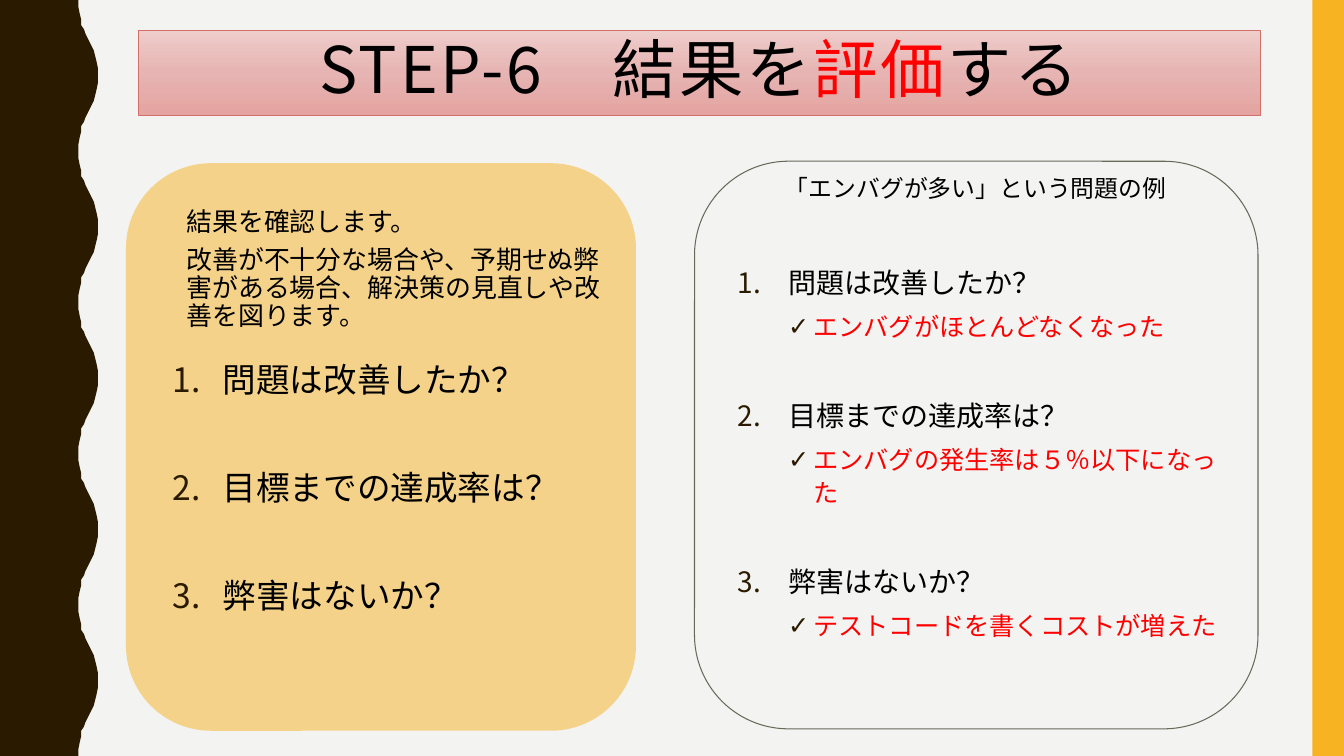
from copy import deepcopy
from lxml.etree import SubElement
from pptx import Presentation
from pptx.dml.color import RGBColor
from pptx.enum.shapes import MSO_SHAPE
from pptx.enum.text import MSO_ANCHOR, MSO_AUTO_SIZE, PP_ALIGN
from pptx.oxml.ns import qn
from pptx.util import Pt

# Content
TITLE = [("STEP-6\u3000結果を", "000000"), ("評価", "FF0000"), ("する", "000000")]
INTRO = ["結果を確認します。",
         "改善が不十分な場合や、予期せぬ弊害がある場合、解決策の見直しや改善を図ります。"]
EXAMPLE_HEADING = "「エンバグが多い」という問題の例"
CHECKS = [("問題は改善したか？", "エンバグがほとんどなくなった"),
          ("目標までの達成率は？", "エンバグの発生率は５％以下になった"),
          ("弊害はないか？", "テストコードを書くコストが増えた")]

# Formats: size, line height, space before, indents and colours
BROWN, YELLOW = "2A1A00", "F8B323"
JP, SC, CABIN = "Noto Sans CJK JP", "Noto Sans CJK SC", "Cabin"
HEADLINE = dict(font=JP, size=45.9, line=0.9, align=PP_ALIGN.CENTER, tracking=2)
PROSE = dict(font=CABIN, size=18.5, line=Pt(20), before=7)
HEADING = dict(font=CABIN, size=17, line=Pt(19), align=PP_ALIGN.CENTER)
QUESTION = dict(font=SC, size=24, line=Pt(34), before=43, left=36, hang=36, bullet="number")
EXAMPLE = QUESTION | dict(size=20, line=Pt(28.4), before=36)
ANSWER = dict(font=SC, size=18, line=Pt(23.6), before=7, left=54, hang=18,
              bullet="✓", level=1)

# Places in points: left, top, width, height
PLACES = {0: (98.6, 21.6, 801.4, 60.5), 1: (126, 145.4, 318.2, 97.9),
          2: (115.9, 247.7, 329, 242.6), 3: (524.9, 121.7, 344.2, 26.6),
          4: (519.8, 181.4, 371.5, 295.9)}
LEFT_CARD = (90, 116.6, 364.3, 405.4)
RIGHT_CARD = (496.1, 115.2, 402.5, 405.4)
SIDE_BAR = (937.4, 0, 22.6, 540)

# Half a wave of the left edge, as (x, y); the other half mirrors it
WAVE, WAVES = 108, 5
HALF_WAVE = [(56.2, 0), (56.2, 5), (56.9, 10.1), (57.6, 14.4), (58.3, 18), (59.8, 20.9),
             (61.2, 23.8), (64.1, 30.2), (67, 36), (68.4, 39.6), (69.1, 43.9), (69.8, 49)]


def color(value):
    return RGBColor.from_string(value)


def finish(shape, fill=None, line=None, width=0.75):
    shape.shadow.inherit = False
    if fill:
        shape.fill.solid()
        shape.fill.fore_color.rgb = color(fill)
    else:
        shape.fill.background()
    if line:
        shape.line.color.rgb = color(line)
        shape.line.width = Pt(width)
    else:
        shape.line.fill.background()
    return shape


def add_panel(kind, place, **look):
    return finish(page.shapes.add_shape(kind, *map(Pt, place)), **look)


def write(box, paragraphs):
    """Each paragraph is a list of (text, colour) spans and a format."""
    for index, (spans, style) in enumerate(paragraphs):
        para = box.text_frame.paragraphs[0] if index == 0 else box.text_frame.add_paragraph()
        values = dict(level=style.get("level", 0), line_spacing=style["line"],
                      space_before=Pt(style.get("before", 0) if index else 0),
                      space_after=Pt(0), alignment=style.get("align", PP_ALIGN.LEFT))
        for name, value in values.items():
            setattr(para, name, value)
        set_bullet(para, style)
        for text, tone in spans:
            span = para.add_run()
            span.text = text
            font = dict(name=style["font"], size=Pt(style["size"]), bold=False)
            for name, value in font.items():
                setattr(span.font, name, value)
            span.font.color.rgb = color(tone)
            properties = span.font._element
            SubElement(properties, qn("a:ea"), typeface=style["font"])
            if "tracking" in style:
                properties.set("spc", str(style["tracking"] * 100))


def set_bullet(para, style):
    properties = para._p.get_or_add_pPr()
    properties.set("marL", str(Pt(style.get("left", 0))))
    properties.set("indent", str(-Pt(style.get("hang", 0))))
    bullet = style.get("bullet")
    if not bullet:
        SubElement(properties, qn("a:buNone"))
        return
    tone = SubElement(properties, qn("a:buClr"))
    SubElement(tone, qn("a:srgbClr"), val=BROWN)
    if bullet == "number":
        SubElement(properties, qn("a:buAutoNum"), type="arabicPeriod")
    else:
        SubElement(properties, qn("a:buChar"), char=bullet)


deck = Presentation()
deck.slide_width, deck.slide_height = Pt(960), Pt(540)
page = deck.slides.add_slide(deck.slide_layouts[4])
page.background.fill.solid()
page.background.fill.fore_color.rgb = color("F3F3F2")

# Wavy left edge and right bar
one_wave = HALF_WAVE + [(69.8, WAVE / 2)] + [(x, WAVE - y) for x, y in HALF_WAVE[:0:-1]]
edge = [(x, y + WAVE * number) for number in range(WAVES) for x, y in one_wave]
outline = page.shapes.build_freeform(0, 0, scale=Pt(1))
outline.add_line_segments(edge + [(HALF_WAVE[0][0], 540), (0, 540)], close=True)
finish(outline.convert_to_shape(), fill=BROWN)
add_panel(MSO_SHAPE.RECTANGLE, SIDE_BAR, fill=YELLOW)

# Cards behind the two lists
add_panel(MSO_SHAPE.ROUNDED_RECTANGLE, RIGHT_CARD, line="656A59")
card = add_panel(MSO_SHAPE.ROUNDED_RECTANGLE, LEFT_CARD, fill=YELLOW)
SubElement(card.element.xpath("./p:spPr/a:solidFill/a:srgbClr")[0], qn("a:alpha"), val="50000")

# Placeholders, placed in front of the cards
boxes = {box.placeholder_format.idx: box for box in page.placeholders}
for key, place in PLACES.items():
    box = boxes[key]
    box.left, box.top, box.width, box.height = map(Pt, place)
    frame = dict(word_wrap=True, auto_size=MSO_AUTO_SIZE.NONE,
                 vertical_anchor=MSO_ANCHOR.TOP if key else MSO_ANCHOR.MIDDLE)
    for name, value in frame.items():
        setattr(box.text_frame, name, value)
    box.element.getparent().append(box.element)

# Title band with a three-stop gradient
title = finish(boxes[0], line="D36F68", width=0.5)
title.fill.gradient()
title.fill.gradient_angle = 270
stops = title.element.xpath(".//a:gsLst")[0]
stops.append(deepcopy(stops[0]))
for stop, (position, tone) in zip(title.fill.gradient_stops,
                                  [(0, "EECDCB"), (0.5, "E6B4B2"), (1, "E4A4A1")]):
    stop.position = position
    stop.color.rgb = color(tone)

# Texts
write(title, [(TITLE, HEADLINE)])
write(boxes[1], [([(text, "000000")], PROSE) for text in INTRO])
write(boxes[2], [([(question, "000000")], QUESTION) for question, _ in CHECKS])
write(boxes[3], [([(EXAMPLE_HEADING, "000000")], HEADING)])
write(boxes[4], [part for question, answer in CHECKS
                 for part in (([(question, "000000")], EXAMPLE),
                              ([(answer, "FF0000")], ANSWER))])

deck.save("out.pptx")
